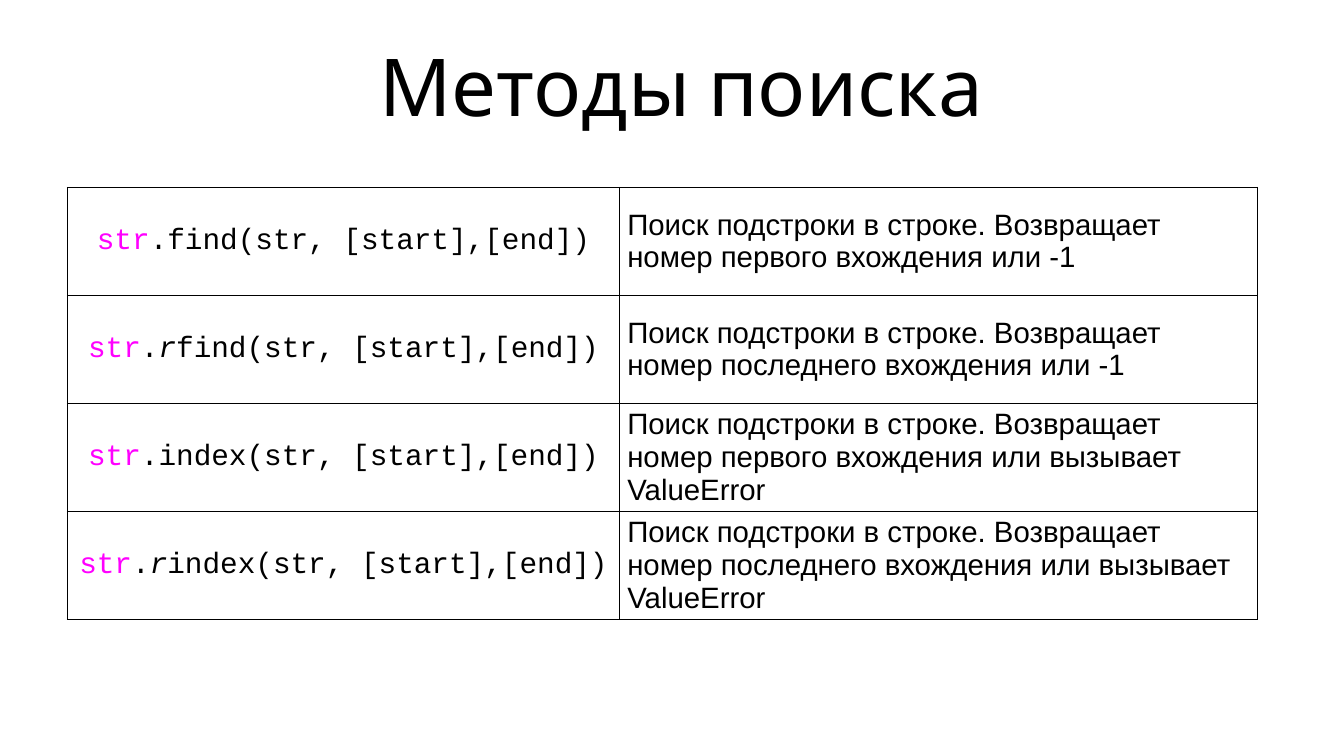
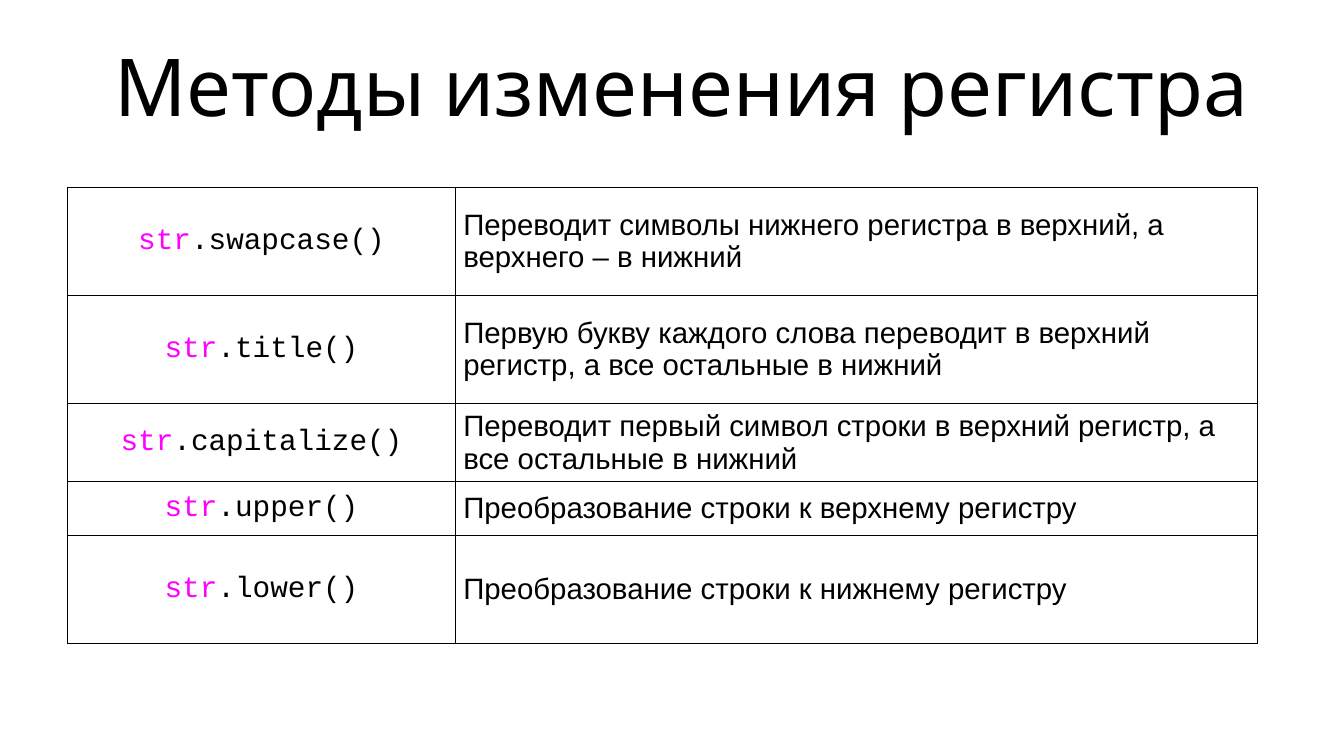
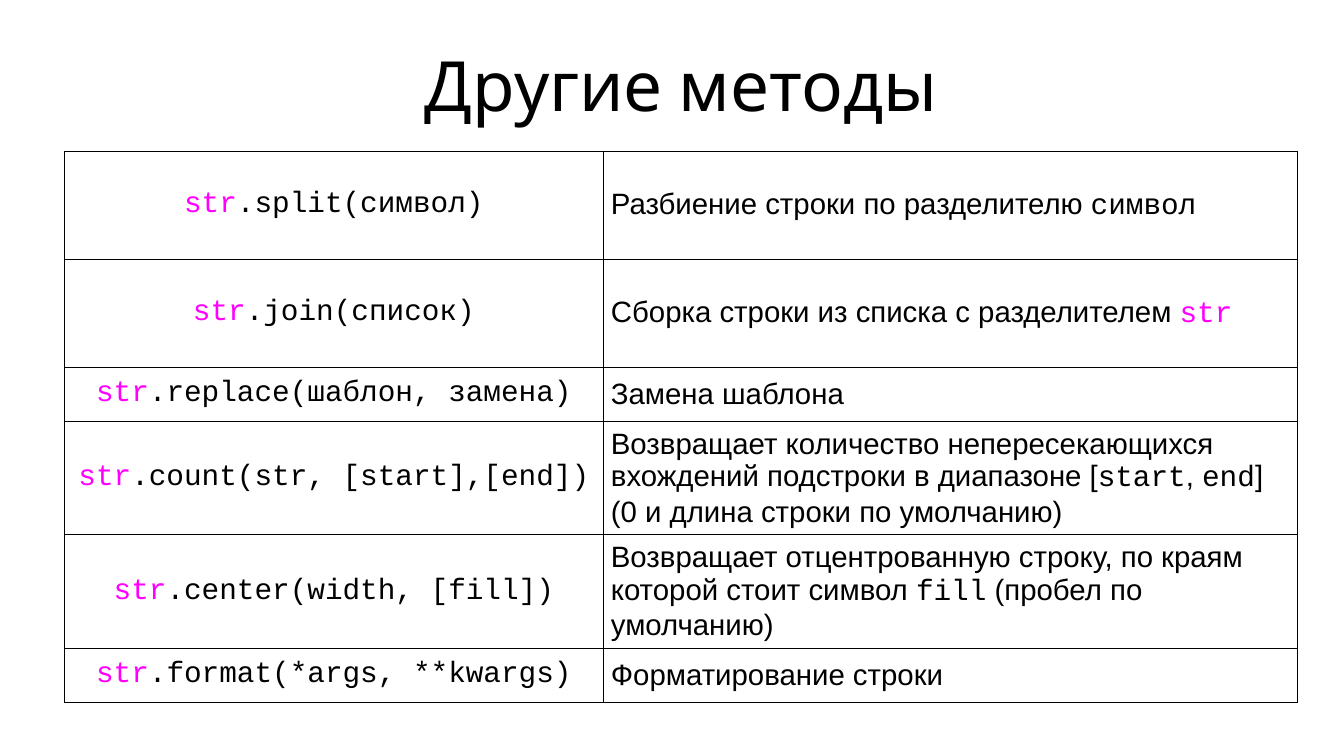
from typing import NamedTuple

from lxml.etree import SubElement as Sub
from pptx import Presentation
from pptx.dml.color import RGBColor
from pptx.enum.text import MSO_ANCHOR as Anchor, PP_ALIGN as Align
from pptx.oxml.ns import qn
from pptx.util import Pt

BLACK = "000000"
PINK = "FF00FF"
MONO = "Courier New"
SANS = "Arial"
HEAD = "Cabin"
SIZE = 28
TALL = 102.86
LOW = TALL / 2


class Bit(NamedTuple):
    text: str
    face: str = SANS
    color: str = BLACK
    slant: bool = False


class Row(NamedTuple):
    call: tuple[Bit, ...]
    about: tuple[Bit, ...]
    high: float = TALL


class Page(NamedTuple):
    title: str
    size: float
    left: float
    top: float
    cols: tuple[float, float]
    rows: tuple[Row, ...]


def code(text: str, slant: bool = False) -> Bit:
    return Bit(text, MONO, BLACK, slant)


KEY = Bit("str", MONO, PINK)


def row(call: str, *about: str | Bit, high: float = TALL, lead: str = "") -> Row:
    name = (code("."), code(lead, True), code(call)) if lead else (code("." + call),)
    notes = tuple(Bit(part) if type(part) is str else part for part in about)
    return Row((KEY, *name), notes, high)


FIND = "Поиск подстроки в строке. Возвращает номер"
SPAN = "(str, [start],[end])"

PAGES = (
    Page("Методы поиска", 76, 64.1, 178.5, (526.2, 607), (
        row("find" + SPAN, f"{FIND} первого вхождения или -1"),
        row("find" + SPAN, f"{FIND} последнего вхождения или -1", lead="r"),
        row("index" + SPAN, f"{FIND} первого вхождения или вызывает ValueError"),
        row("index" + SPAN, f"{FIND} последнего вхождения или вызывает ValueError",
            lead="r"),
    )),
    Page("Методы изменения регистра", 76, 64.1, 178.5, (370, 763.2), (
        row("swapcase()",
            "Переводит символы нижнего регистра в верхний, а верхнего – в нижний"),
        row("title()", "Первую букву каждого слова переводит в верхний регистр, "
            "а все остальные в нижний"),
        row("capitalize()", "Переводит первый символ строки в верхний регистр, "
            "а все остальные в нижний", high=LOW),
        row("upper()", "Преобразование строки к верхнему регистру", high=LOW),
        row("lower()", "Преобразование строки к нижнему регистру"),
    )),
    Page("Другие методы", 66, 61.3, 144, (513.4, 661), (
        row("split(символ)", "Разбиение строки по разделителю ", code("символ")),
        row("join(список)", "Сборка строки из списка с разделителем ", KEY),
        row("replace(шаблон, замена)", "Замена шаблона", high=LOW),
        row("count" + SPAN, "Возвращает количество непересекающихся вхождений "
            "подстроки в диапазоне [", code("start"), ", ", code("end"),
            "] (0 и длина строки по умолчанию)", high=LOW),
        row("center(width, [fill])", "Возвращает отцентрованную строку, по краям "
            "которой стоит символ ", code("fill"), " (пробел по умолчанию)", high=LOW),
        row("format(*args, **kwargs)", "Форматирование строки", high=LOW),
    )),
)


def paint(font, face: str, size: float, color: str) -> None:
    font.name = face
    font.size = Pt(size)
    font.color.rgb = RGBColor.from_string(color)


def frame(cell) -> None:
    props = cell._tc.get_or_add_tcPr()
    for side in ("lnL", "lnR", "lnT", "lnB"):
        line = Sub(props, qn("a:" + side), w=str(Pt(1)))
        Sub(Sub(line, qn("a:solidFill")), qn("a:srgbClr"), val=BLACK)
    cell.fill.background()


def write(cell, bits: tuple[Bit, ...], align: Align) -> None:
    frame(cell)
    cell.vertical_anchor = Anchor.MIDDLE
    para = cell.text_frame.paragraphs[0]
    para.alignment = align
    for bit in bits:
        run = para.add_run()
        run.text = bit.text
        paint(run.font, bit.face, SIZE, bit.color)
        run.font.italic = bit.slant


def head(slide, page: Page) -> None:
    box = slide.shapes.add_textbox(Pt(100), Pt(31), Pt(1097.3), Pt(85))
    text = box.text_frame
    text.word_wrap = True
    text.vertical_anchor = Anchor.MIDDLE
    text.margin_left = text.margin_right = Pt(3)
    text.margin_top = text.margin_bottom = Pt(3)
    text.text = page.title
    para = text.paragraphs[0]
    para.alignment = Align.CENTER
    para.line_spacing = 1.15
    paint(para.runs[0].font, HEAD, page.size, BLACK)


def grid(slide, page: Page) -> None:
    high = sum(item.high for item in page.rows)
    table = slide.shapes.add_table(
        len(page.rows), len(page.cols), Pt(page.left), Pt(page.top),
        Pt(sum(page.cols)), Pt(high)).table
    table.first_row = table.horz_banding = False
    for col, wide in zip(table.columns, page.cols):
        col.width = Pt(wide)
    for line, item in zip(table.rows, page.rows):
        line.height = Pt(item.high)
        write(line.cells[0], item.call, Align.CENTER)
        write(line.cells[1], item.about, Align.LEFT)


def main() -> None:
    deck = Presentation()
    deck.slide_width, deck.slide_height = Pt(1280.16), Pt(720)
    for page in PAGES:
        slide = deck.slides.add_slide(deck.slide_layouts[6])
        grid(slide, page)
        head(slide, page)
    deck.save("out.pptx")


if __name__ == "__main__":
    main()
